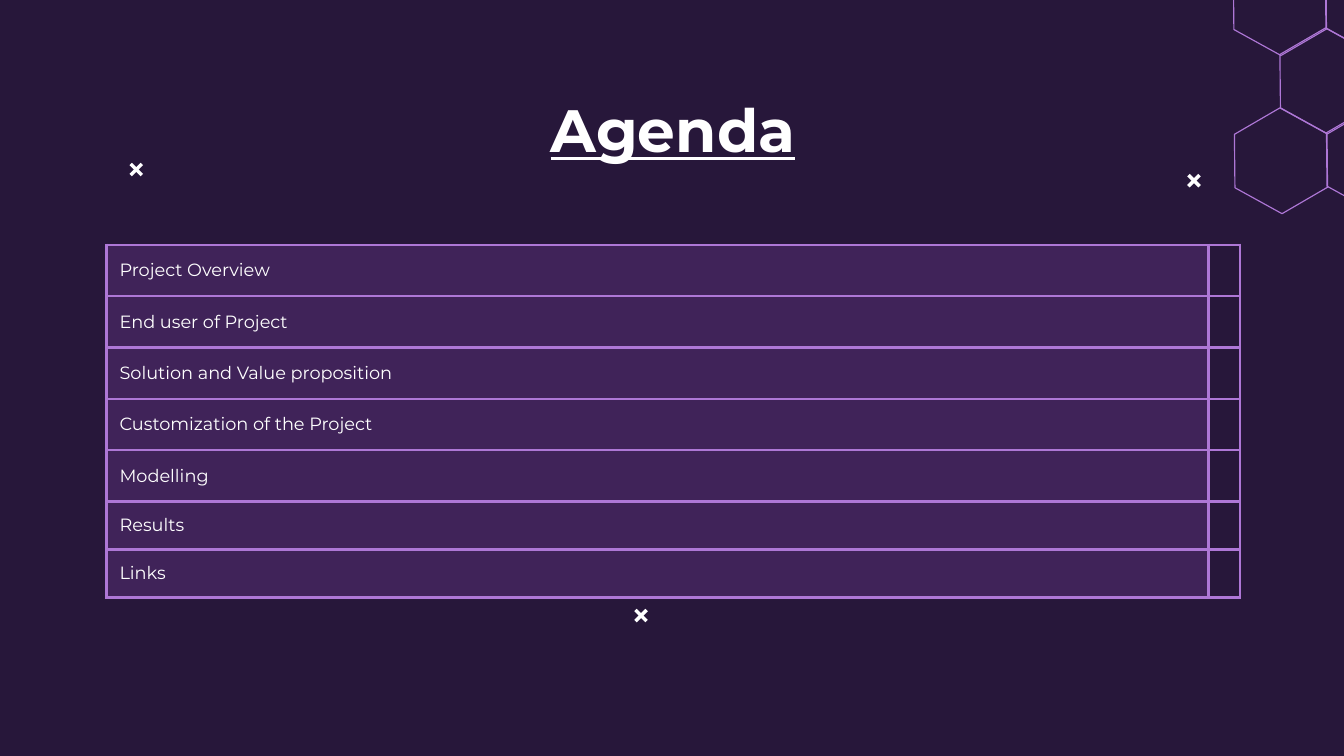
from lxml import etree
from pptx import Presentation
from pptx.dml.color import RGBColor
from pptx.enum.shapes import MSO_CONNECTOR
from pptx.enum.text import MSO_ANCHOR, MSO_AUTO_SIZE, PP_ALIGN
from pptx.oxml.ns import qn
from pptx.util import Cm, Pt

STRAIGHT = MSO_CONNECTOR.STRAIGHT
TOP, MIDDLE = MSO_ANCHOR.TOP, MSO_ANCHOR.MIDDLE
NO_AUTOFIT = MSO_AUTO_SIZE.NONE
CENTER = PP_ALIGN.CENTER
NIGHT, LILAC, PURPLE, WHITE = "27173A", "AE77D6", "733C9B", "FFFFFF"
INSETS = {side: Cm(0.25) for side in
          ("margin_left", "margin_top", "margin_right", "margin_bottom")}
TOPICS = ["Project Overview", "End user of Project", "Solution and Value proposition",
          "Customization of the Project", "Modelling", "Results", "Links"]
ROW_HEIGHTS = [0.97] * 5 + [0.8] * 2
COLUMN_WIDTHS = [20.83, 0.59]
CROSSES = [(22.46, 3.31), (12.01, 11.53), (2.47, 3.1)]
HALF_HEXAGON = [(0.87, -0.51), (0.88, 0.5), (0.02, 1.0)]
HEXAGON = HALF_HEXAGON + [(-x, -y) for x, y in HALF_HEXAGON]
HEXAGON_STEPS = [(0, 0), (1, 0), (0, 1), (-1, 2), (0, 2)]


def color(hex_string):
    return RGBColor.from_string(hex_string)


def apply(target, values):
    for name, value in values.items():
        setattr(target, name, value)


class AgendaSlide:
    """Holds the agenda style and the slide it is drawn on."""

    font_name = "Montserrat"
    topic_size = Pt(9.5)

    def __init__(self, presentation):
        self.slide = presentation.slides.add_slide(presentation.slide_layouts[5])
        background = self.slide.background.fill
        background.solid()
        background.fore_color.rgb = color(NIGHT)

    def wording(self, paragraph, text, **font_values):
        run = paragraph.add_run()
        run.text = text
        apply(run.font, {"name": self.font_name, **font_values})
        run.font.color.rgb = color(WHITE)

    def title(self, text, left, top, width, height):
        heading = self.slide.shapes.title
        apply(heading, {"left": Cm(left), "top": Cm(top),
                        "width": Cm(width), "height": Cm(height)})
        frame = heading.text_frame
        apply(frame, {**INSETS, "vertical_anchor": TOP, "word_wrap": True,
                      "auto_size": NO_AUTOFIT})
        frame.paragraphs[0].alignment = CENTER
        self.wording(frame.paragraphs[0], text, size=Pt(32), bold=True, underline=True)

    def hexagon(self, center_x, center_y):
        corners = [(Cm(center_x + x), Cm(center_y + y)) for x, y in HEXAGON]
        builder = self.slide.shapes.build_freeform(*corners[0])
        builder.add_line_segments(corners[1:], close=True)
        outline = builder.convert_to_shape()
        outline.shadow.inherit = False
        outline.fill.background()
        outline.line.color.rgb = color(LILAC)
        outline.line.width = Pt(0.61)

    def cross(self, left, top, size=0.21):
        right, bottom = left + size, top + size
        for start_y, end_y in ((bottom, top), (top, bottom)):
            stroke = self.slide.shapes.add_connector(
                STRAIGHT, Cm(left), Cm(start_y), Cm(right), Cm(end_y))
            stroke.line.color.rgb = color(WHITE)
            stroke.line.width = Pt(1.84)
            etree.SubElement(stroke._element.spPr, qn("a:effectLst"))

    def borders(self, cell):
        properties = cell._tc.get_or_add_tcPr()
        for side in ("a:lnL", "a:lnR", "a:lnT", "a:lnB"):
            border = etree.SubElement(properties, qn(side), w=str(Pt(1.5)))
            paint = etree.SubElement(border, qn("a:solidFill"))
            etree.SubElement(paint, qn("a:srgbClr"), val=LILAC)

    def topic_cell(self, cell, topic):
        self.wording(cell.text_frame.paragraphs[0], topic, size=self.topic_size)
        cell.fill.solid()
        cell.fill.fore_color.rgb = color(PURPLE)
        shade = cell._tc.tcPr.find(qn("a:solidFill"))[0]
        etree.SubElement(shade, qn("a:alpha"), val="33000")

    def blank_cell(self, cell):
        cell.fill.background()
        paragraph = cell.text_frame.paragraphs[0]._p
        etree.SubElement(paragraph, qn("a:endParaRPr"),
                         sz=str(int(self.topic_size.pt * 100)))

    def agenda(self, topics, left, top):
        table = self.slide.shapes.add_table(
            len(topics), len(COLUMN_WIDTHS), Cm(left), Cm(top),
            Cm(sum(COLUMN_WIDTHS)), Cm(sum(ROW_HEIGHTS))).table
        apply(table, {"first_row": False, "horz_banding": False})
        for column, width in zip(table.columns, COLUMN_WIDTHS):
            column.width = Cm(width)
        for row, height, topic in zip(table.rows, ROW_HEIGHTS, topics):
            row.height = Cm(height)
            for cell in row.cells:
                apply(cell, {**INSETS, "vertical_anchor": MIDDLE})
                self.borders(cell)
            topic_cell, blank_cell = row.cells
            self.topic_cell(topic_cell, topic)
            self.blank_cell(blank_cell)


def main():
    presentation = Presentation()
    apply(presentation, {"slide_width": Cm(25.4), "slide_height": Cm(14.29)})
    agenda_slide = AgendaSlide(presentation)
    for across, up in HEXAGON_STEPS:
        agenda_slide.hexagon(24.21 + 1.74 * across + 0.86 * up,
                             3.04 - 0.03 * across - 1.51 * up)
    agenda_slide.title("Agenda", 2.01, 1.5, 21.42, 1.6)
    agenda_slide.agenda(TOPICS, 2.01, 4.63)
    for left, top in CROSSES:
        agenda_slide.cross(left, top)
    presentation.save("out.pptx")


if __name__ == "__main__":
    main()
